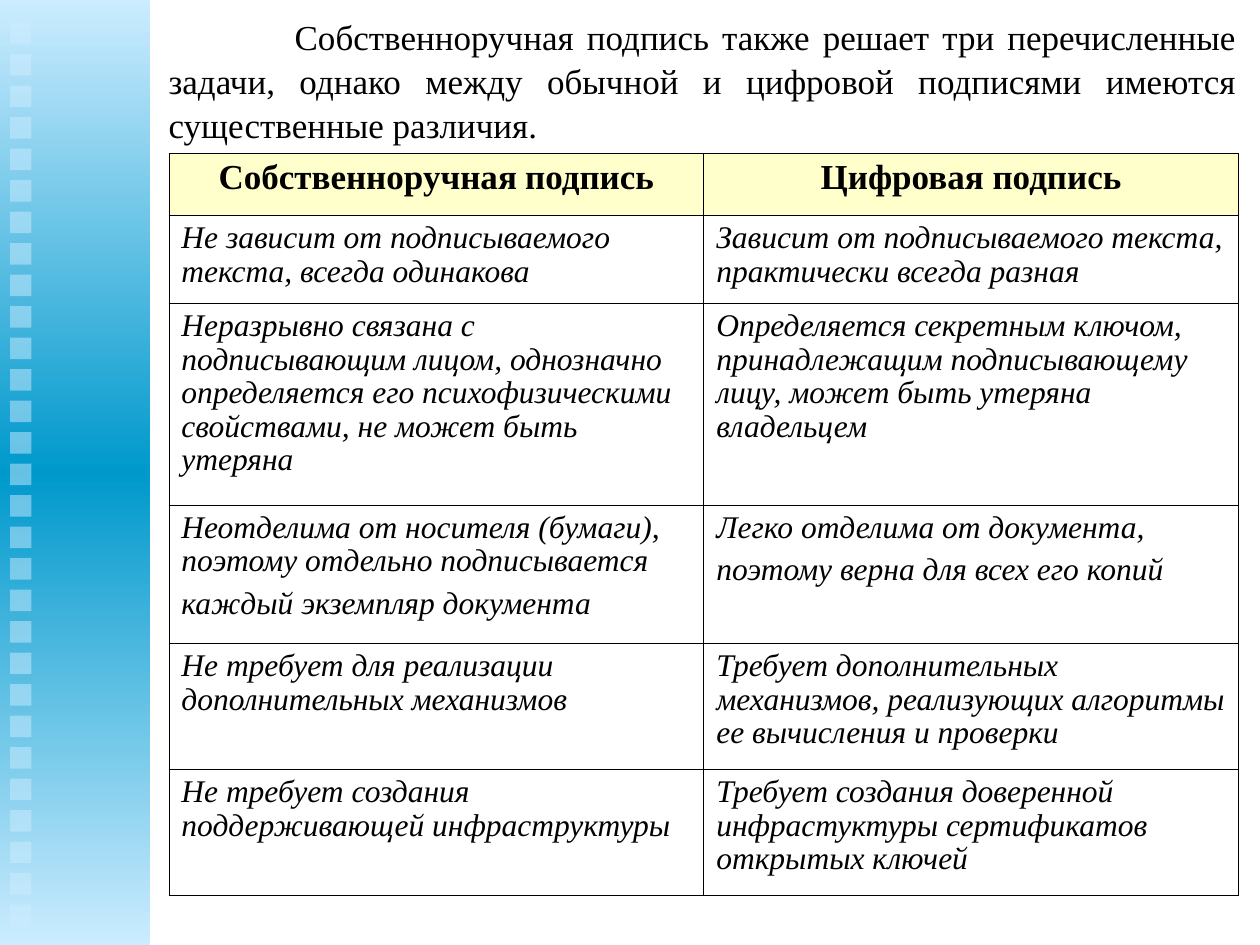
from copy import deepcopy
from dataclasses import dataclass

from lxml import etree
from pptx import Presentation
from pptx import util as u
from pptx.dml.color import RGBColor
from pptx.enum import shapes, text
from pptx.oxml.ns import qn

COLORS = {"pale": "CCECFF", "blue": "0099CC", "header": "FFFFCC",
          "body": "FFFFFF", "ink": "000000"}
FONT = "Times New Roman"
INTRO = ("\tСобственноручная подпись также решает три перечисленные задачи, "
         "однако между обычной и цифровой подписями имеются существенные различия.")


@dataclass
class Run:
    text: str
    size: float = 18
    bold: bool = False
    italic: bool = False


@dataclass
class Row:
    height: float
    cells: tuple[list[Run], list[Run]]
    fill: str = "body"
    align: text.PP_ALIGN = text.PP_ALIGN.LEFT


def italic(words: str, tall_end: bool = False) -> list[Run]:
    return [Run(words, italic=True)] + ([Run(" ", 24)] if tall_end else [])


ROWS = [
    Row(0.49, ([Run("Собственноручная", 20, True), Run(" ", 18, True), Run("подпись", 20, True)],
               [Run("Цифровая подпись", 20, True)]), "header", text.PP_ALIGN.CENTER),
    Row(0.7, (italic("Не зависит от подписываемого текста, всегда одинакова"),
              italic("Зависит от подписываемого текста, практически всегда разная"))),
    Row(1.6, (italic("Неразрывно связана с подписывающим лицом, однозначно определяется "
                     "его психофизическими свойствами, не может быть утеряна"),
              italic("Определяется секретным ключом, принадлежащим подписывающему лицу, "
                     "может быть утеряна владельцем"))),
    Row(1.1, (italic("Неотделима от носителя (бумаги), поэтому отдельно подписывается "
                     "каждый экземпляр документа", True),
              italic("Легко отделима от документа, поэтому верна для всех его копий", True))),
    Row(1, (italic("Не требует для реализации дополнительных механизмов"),
            italic("Требует дополнительных механизмов, реализующих алгоритмы "
                   "ее вычисления и проверки"))),
    Row(1, (italic("Не требует создания поддерживающей инфраструктуры"),
            italic("Требует создания доверенной инфрастуктуры сертификатов открытых ключей"))),
]


def rgb(name: str) -> RGBColor:
    return RGBColor.from_string(COLORS[name])


def set_all(target, values: dict) -> None:
    for name, value in values.items():
        setattr(target, name, value)


def add_rect(s, left: float, top: float, width: float, height: float):
    sp = s.shapes.add_shape(shapes.MSO_SHAPE.RECTANGLE, u.Inches(left), u.Inches(top),
                            u.Inches(width), u.Inches(height))
    sp.shadow.inherit = False
    sp.line.fill.background()
    return sp


def add_sidebar(s) -> None:
    fill = add_rect(s, 0, 0, 1.19, 7.5).fill
    fill.gradient()
    fill.gradient_angle = 270
    stops = fill.gradient_stops
    last = s.shapes[-1].fill._xPr.find(".//" + qn("a:gsLst"))
    last.append(deepcopy(last[-1]))
    stops = fill.gradient_stops
    for stop, position, name in zip(stops, (0, 0.5, 1), ("pale", "blue", "pale")):
        stop.position = position
        stop.color.rgb = rgb(name)


def add_square(s, top: float) -> None:
    sp = add_rect(s, 0.08, top, 0.17, 0.17)
    sp.fill.solid()
    sp.fill.fore_color.rgb = rgb("pale")
    color = sp._element.spPr.find(".//" + qn("a:srgbClr"))
    etree.SubElement(color, qn("a:alpha"), val="50000")


def write(p, runs: list[Run], align: text.PP_ALIGN, spacing: float) -> None:
    set_all(p, {"alignment": align, "line_spacing": spacing})
    for item in runs:
        r = p.add_run()
        r.text = item.text
        set_all(r.font, {"name": FONT, "size": u.Pt(item.size),
                         "bold": item.bold, "italic": item.italic})
        r.font.color.rgb = rgb("ink")


def add_intro(s) -> None:
    sp = s.shapes.add_textbox(u.Inches(1.24), u.Inches(0.08), u.Inches(8.67), u.Inches(1.1))
    tf = sp.text_frame
    set_all(tf, {"word_wrap": True, "vertical_anchor": text.MSO_ANCHOR.MIDDLE,
                 "auto_size": text.MSO_AUTO_SIZE.SHAPE_TO_FIT_TEXT})
    p = tf.paragraphs[0]
    write(p, [Run(INTRO, 20)], text.PP_ALIGN.JUSTIFY, 1.05)
    tabs = etree.SubElement(p._p.get_or_add_pPr(), qn("a:tabLst"))
    for inch in range(8):
        etree.SubElement(tabs, qn("a:tab"), pos=str(u.Inches(inch)), algn="l")


def add_borders(cell) -> None:
    tc_pr = cell._tc.get_or_add_tcPr()
    for i, side in enumerate(("lnL", "lnR", "lnT", "lnB")):
        ln = etree.Element(qn("a:" + side), w=str(u.Pt(0.45)))
        solid = etree.SubElement(ln, qn("a:solidFill"))
        etree.SubElement(solid, qn("a:srgbClr"), val=COLORS["ink"])
        tc_pr.insert(i, ln)


def add_comparison(s) -> None:
    height = sum(row.height for row in ROWS)
    table = s.shapes.add_table(len(ROWS), 2, u.Inches(1.34), u.Inches(1.22),
                               u.Inches(8.49), u.Inches(height)).table
    set_all(table, {"first_row": False, "horz_banding": False})
    for i, row in enumerate(ROWS):
        table.rows[i].height = u.Inches(row.height)
        for j, runs in enumerate(row.cells):
            cell = table.cell(i, j)
            cell.fill.solid()
            cell.fill.fore_color.rgb = rgb(row.fill)
            add_borders(cell)
            write(cell.text_frame.paragraphs[0], runs, row.align, 0.96)


def main() -> None:
    prs = Presentation()
    set_all(prs, {"slide_width": u.Inches(10), "slide_height": u.Inches(7.5)})
    s = prs.slides.add_slide(prs.slide_layouts[6])
    add_sidebar(s)
    for i in range(29):
        add_square(s, 0.18 + 0.25 * i)
    add_intro(s)
    add_comparison(s)
    prs.save("out.pptx")


if __name__ == "__main__":
    main()
